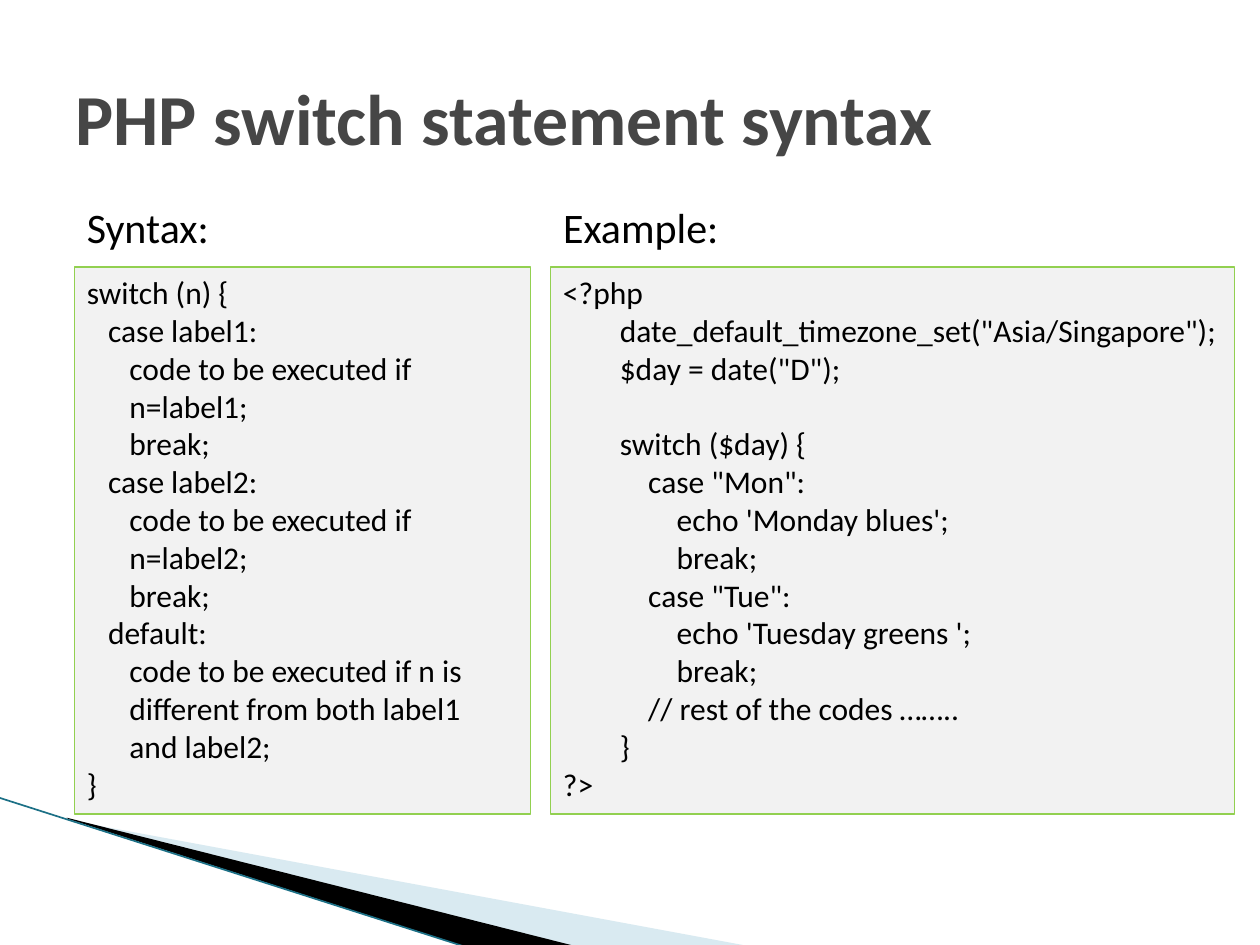
from lxml import etree
from pptx import Presentation
from pptx import util as u
from pptx.dml.color import RGBColor
from pptx.enum import shapes, text
from pptx.oxml import ns

FONT = "Calibri"
BLACK = RGBColor(0, 0, 0)
TITLE_GREY = RGBColor(0x46, 0x46, 0x46)
PANEL_GREY = RGBColor(0xF2, 0xF2, 0xF2)
GREEN = RGBColor(0x92, 0xD0, 0x50)
PALE_BLUE = RGBColor(0xA0, 0xCB, 0xDC)
TEAL = RGBColor(0x1C, 0x70, 0x86)

LABEL_TOP, LABEL_HEIGHT = 1.55, 0.5
CODE_TOP, CODE_HEIGHT = 2.12, 4.34

SYNTAX = """switch (n) {
   case label1:
      code to be executed if
      n=label1;
      break;
   case label2:
      code to be executed if
      n=label2;
      break;
   default:
      code to be executed if n is
      different from both label1
      and label2;
}"""

EXAMPLE = """<?php
        date_default_timezone_set("Asia/Singapore");
        $day = date("D");
        
        switch ($day) {
            case "Mon":
                echo 'Monday blues';
                break;
            case "Tue":
                echo 'Tuesday greens ';
                break;
            // rest of the codes ……..
        }
?>"""


def inches(*lengths):
    return [u.Inches(length) for length in lengths]


def write(shape, words, size, color=BLACK, bold=False):
    shape.text_frame.text = words
    for para in shape.text_frame.paragraphs:
        para.alignment = text.PP_ALIGN.LEFT
        for span in para.runs:
            span.font.name = FONT
            span.font.size = u.Pt(size)
            span.font.bold = bold
            span.font.color.rgb = color


def add_wedge(page, points, color, opacity=100):
    corners = [inches(*point) for point in points]
    builder = page.shapes.build_freeform(*corners[0])
    builder.add_line_segments(corners[1:], close=True)
    wedge = builder.convert_to_shape()
    wedge.shadow.inherit = False
    wedge.fill.solid()
    wedge.fill.fore_color.rgb = color
    wedge.line.fill.background()
    if opacity < 100:
        tint = wedge.fill._xPr.find(".//" + ns.qn("a:srgbClr"))
        etree.SubElement(tint, ns.qn("a:alpha"), val=str(opacity * 1000))


def add_corner(page):
    add_wedge(page, [(0.55, 6.51), (5.95, 7.51), (4.56, 7.51), (0.55, 6.5)],
              PALE_BLUE, 40)
    add_wedge(page, [(0.53, 6.49), (4.57, 7.51), (3.72, 7.52), (0.54, 6.5)],
              BLACK)
    edge = page.shapes.add_connector(
        shapes.MSO_CONNECTOR.STRAIGHT, *inches(-0.01, 6.33, 3.71, 7.52))
    edge.line.color.rgb = TEAL
    edge.line.width = u.Pt(0.95)
    etree.SubElement(edge._element.spPr, ns.qn("a:effectLst"))


def add_title(page, words, left, top, width, height):
    title = page.shapes.title
    title.left, title.top, title.width, title.height = inches(
        left, top, width, height)
    title.text_frame.auto_size = text.MSO_AUTO_SIZE.NONE
    title.text_frame.vertical_anchor = text.MSO_ANCHOR.MIDDLE
    write(title, words, 41, TITLE_GREY, bold=True)


def add_code_column(page, heading, code, left, width, label_width):
    label = page.shapes.add_textbox(
        *inches(left, LABEL_TOP, label_width, LABEL_HEIGHT))
    label.text_frame.word_wrap = False
    write(label, heading, 24)

    panel = page.shapes.add_shape(
        shapes.MSO_SHAPE.RECTANGLE, *inches(left, CODE_TOP, width, CODE_HEIGHT))
    panel.shadow.inherit = False
    panel.fill.solid()
    panel.fill.fore_color.rgb = PANEL_GREY
    panel.line.color.rgb = GREEN
    panel.line.width = u.Pt(0.75)
    panel.text_frame.word_wrap = True
    panel.text_frame.vertical_anchor = text.MSO_ANCHOR.TOP
    write(panel, code, 18)


def main():
    deck = Presentation()
    deck.slide_width, deck.slide_height = inches(10, 7.5)
    page = deck.slides.add_slide(deck.slide_layouts.get_by_name("Title Only"))
    add_corner(page)
    add_title(page, "PHP switch statement syntax", 0.5, 0.3, 9, 1.25)
    add_code_column(page, "Syntax:", SYNTAX, 0.59, 3.62, 1.18)
    add_code_column(page, "Example:", EXAMPLE, 4.37, 5.43, 1.45)
    deck.save("out.pptx")


if __name__ == "__main__":
    main()
